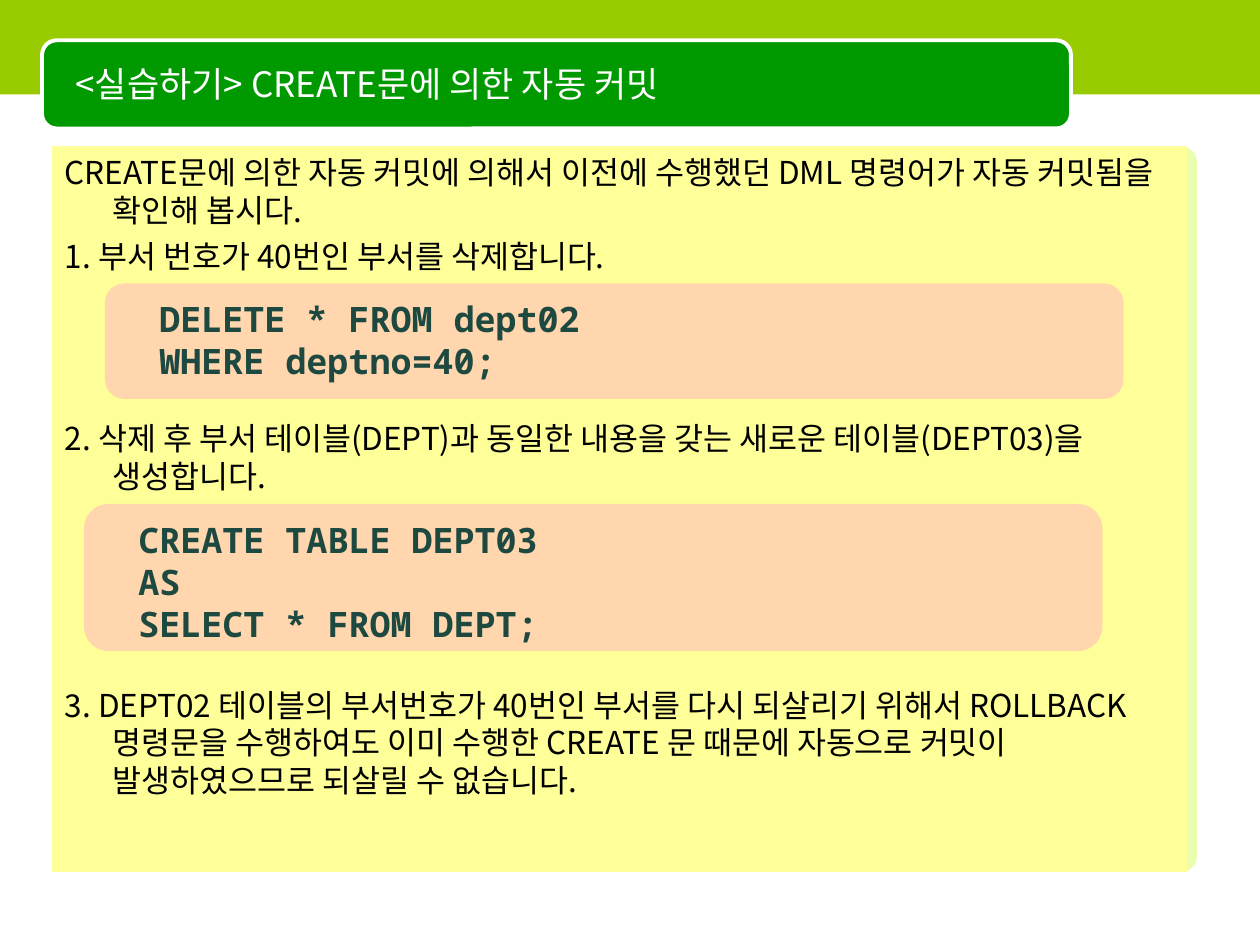
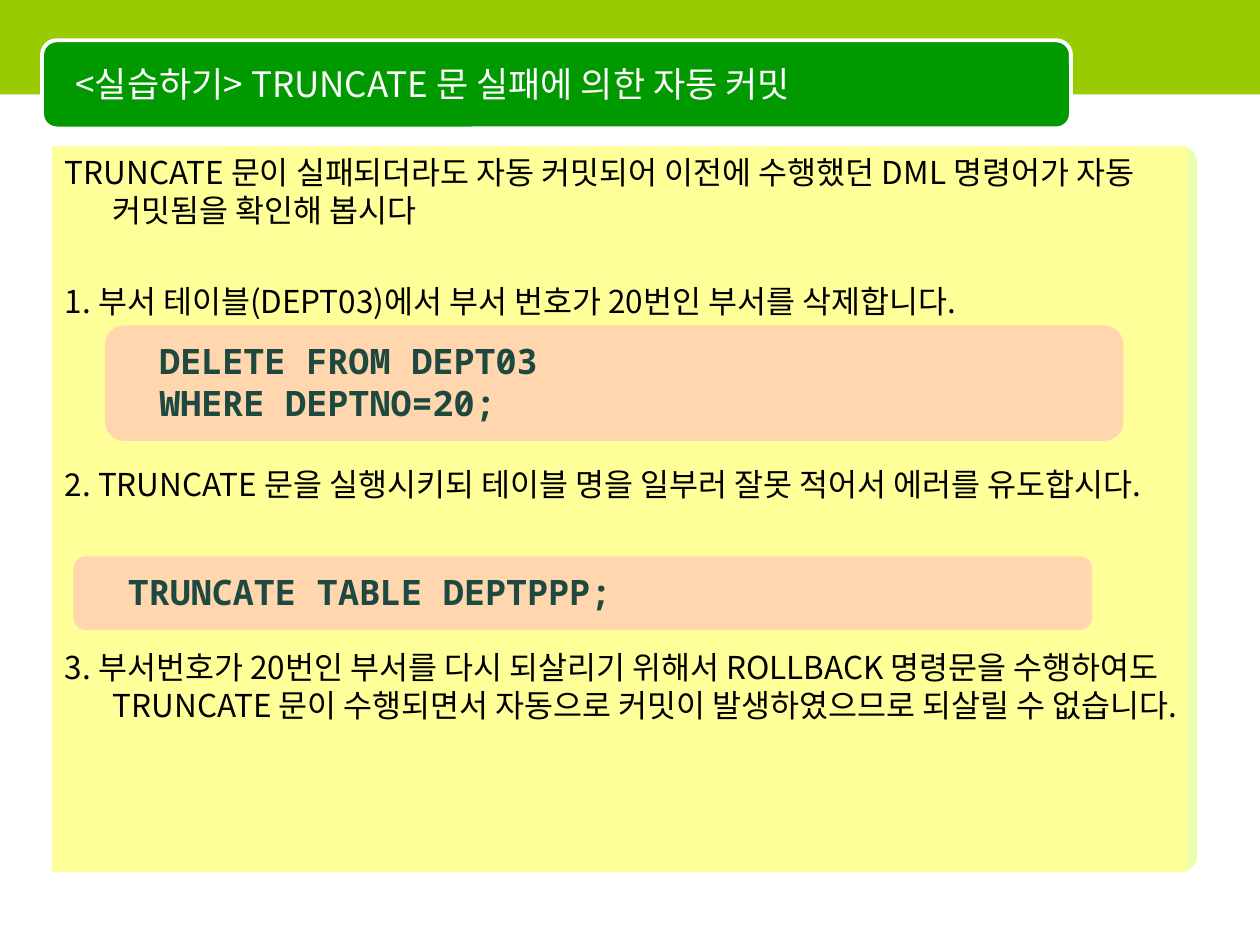
from lxml import etree
from pptx import Presentation
from pptx.dml.color import RGBColor
from pptx.enum.shapes import MSO_SHAPE
from pptx.enum.text import MSO_ANCHOR, PP_ALIGN
from pptx.oxml.ns import qn
from pptx.util import Inches, Pt

RECT = MSO_SHAPE.RECTANGLE
ROUNDED = MSO_SHAPE.ROUNDED_RECTANGLE
TOP, MIDDLE = MSO_ANCHOR.TOP, MSO_ANCHOR.MIDDLE
LEFT = PP_ALIGN.LEFT

COLUMNS, ROWS = 120, 90
SLIDE_WIDTH, SLIDE_HEIGHT = Inches(10), Inches(7.5)

WHITE, BLACK = "FFFFFF", "000000"
LIME, GREEN, PALE_LIME = "99CC00", "009900", "CCFF33"
YELLOW, PINK, DARK_TEAL = "FFFF99", "FF99CC", "1D4940"
BODY_FONT, CODE_FONT = "Noto Sans CJK KR", "Noto Sans Mono"

TOP_BAND = (0, 0, COLUMNS, 9)
TITLE_BAND = (4, 3.84, 98, 8.4)
PANEL = (6, 14, 108, 69)
BODY = (5, 14, 108, 69)
CODE_WIDTH = 97
LINE_RATIO = 1.2
BODY_SIZE, CODE_SIZE, TITLE_SIZE = 18, 20, 20
STEP_SPACE = 4.5

LESSONS = [
    {
        "title": "<실습하기> CREATE문에 의한 자동 커밋",
        "steps": [
            (0, "CREATE문에 의한 자동 커밋에 의해서 이전에 수행했던 DML 명령어가 자동 커밋됨을 확인해 봅시다."),
            (0, "1. 부서 번호가 40번인 부서를 삭제합니다."),
            (3, "2. 삭제 후 부서 테이블(DEPT)과 동일한 내용을 갖는 새로운 테이블(DEPT03)을 생성합니다."),
            (4, "3. DEPT02 테이블의 부서번호가 40번인 부서를 다시 되살리기 위해서 ROLLBACK 명령문을 "
                "수행하여도 이미 수행한 CREATE 문 때문에 자동으로 커밋이 발생하였으므로 되살릴 수 없습니다."),
        ],
        "code": [
            ((10, 27, CODE_WIDTH, 11), ["DELETE * FROM dept02", "WHERE deptno=40;"]),
            ((8, 48, CODE_WIDTH, 14), ["CREATE TABLE DEPT03", "AS", "SELECT * FROM DEPT;"]),
        ],
    },
    {
        "title": "<실습하기> TRUNCATE 문 실패에 의한 자동 커밋",
        "steps": [
            (0, "TRUNCATE 문이 실패되더라도 자동 커밋되어 이전에 수행했던 DML 명령어가 자동 커밋됨을 확인해 봅시다"),
            (1, "1. 부서 테이블(DEPT03)에서 부서 번호가 20번인 부서를 삭제합니다."),
            (3, "2. TRUNCATE 문을 실행시키되 테이블 명을 일부러 잘못 적어서 에러를 유도합시다."),
            (3, "3. 부서번호가 20번인 부서를 다시 되살리기 위해서 ROLLBACK 명령문을 수행하여도 "
                "TRUNCATE 문이 수행되면서 자동으로 커밋이 발생하였으므로 되살릴 수 없습니다."),
        ],
        "code": [
            ((10, 31, CODE_WIDTH, 11), ["DELETE FROM DEPT03", "WHERE DEPTNO=20;"]),
            ((7, 53, CODE_WIDTH, 7), ["TRUNCATE TABLE DEPTPPP;"]),
        ],
    },
]


def rgb(value):
    return RGBColor.from_string(value)


def place(box):
    left, top, width, height = box
    column, row = SLIDE_WIDTH / COLUMNS, SLIDE_HEIGHT / ROWS
    return int(left * column), int(top * row), int(width * column), int(height * row)


def add_block(slide, kind, box, fill, line=None, line_width=0.75, opacity=None, corner=None):
    block = slide.shapes.add_shape(kind, *place(box))
    block.shadow.inherit = False
    block.fill.solid()
    block.fill.fore_color.rgb = rgb(fill)
    if opacity is not None:
        color = block.fill._xPr.find(qn("a:solidFill"))[0]
        etree.SubElement(color, qn("a:alpha"), val=str(opacity * 1000))
    if line:
        block.line.color.rgb = rgb(line)
        block.line.width = Pt(line_width)
    else:
        block.line.fill.background()
    if corner is not None:
        block.adjustments[0] = corner
    return block


def write_lines(frame, lines, font, size, color, bold=False, anchor=TOP):
    frame.word_wrap = True
    frame.vertical_anchor = anchor
    for index, text in enumerate(lines):
        paragraph = frame.paragraphs[0] if index == 0 else frame.add_paragraph()
        run = paragraph.add_run()
        run.text = text
        paragraph.alignment = LEFT
        paragraph.line_spacing = Pt(size * LINE_RATIO)
        paragraph.font.name = font
        paragraph.font.size = Pt(size)
        paragraph.font.bold = bold
        paragraph.font.color.rgb = rgb(color)
        run.font.name = font
        etree.SubElement(run.font._element, qn("a:ea"), typeface=font)


def add_text(slide, box, lines, *style, **options):
    frame = slide.shapes.add_textbox(*place(box)).text_frame
    write_lines(frame, lines, *style, **options)


def add_frame(slide, title):
    add_block(slide, ROUNDED, PANEL, PALE_LIME, opacity=40, corner=0.02)
    add_block(slide, RECT, TOP_BAND, LIME)
    add_block(slide, ROUNDED, TITLE_BAND, GREEN, WHITE, 2.25)
    left, top, width, height = TITLE_BAND
    title_box = (left + 2, top + 0.36, width - 3, height - 0.96)
    add_text(slide, title_box, [title], BODY_FONT, TITLE_SIZE, WHITE, anchor=MIDDLE)


def add_steps(slide, box, steps):
    frame = add_block(slide, RECT, box, YELLOW, YELLOW).text_frame
    frame.margin_right = Inches(0.04)
    write_lines(frame, [text for _, text in steps], BODY_FONT, BODY_SIZE, BLACK)
    row_pitch = BODY_SIZE * LINE_RATIO + STEP_SPACE
    for paragraph, (rows_above, _) in zip(frame.paragraphs, steps):
        paragraph.space_before = Pt(STEP_SPACE + rows_above * row_pitch)
        properties = paragraph._p.get_or_add_pPr()
        properties.set("marL", str(Inches(0.38)))
        properties.set("indent", str(-Inches(0.38)))


def add_code(slide, box, lines):
    add_block(slide, ROUNDED, box, PINK, opacity=40)
    left, top, width, height = box
    text_box = (left + 4, top + 0.75, width - 8, height - 1.5)
    add_text(slide, text_box, lines, CODE_FONT, CODE_SIZE, DARK_TEAL, bold=True)


def main():
    deck = Presentation()
    deck.slide_width, deck.slide_height = SLIDE_WIDTH, SLIDE_HEIGHT
    for lesson in LESSONS:
        slide = deck.slides.add_slide(deck.slide_layouts[6])
        add_frame(slide, lesson["title"])
        add_steps(slide, BODY, lesson["steps"])
        for box, lines in lesson["code"]:
            add_code(slide, box, lines)
    deck.save("out.pptx")


if __name__ == "__main__":
    main()
